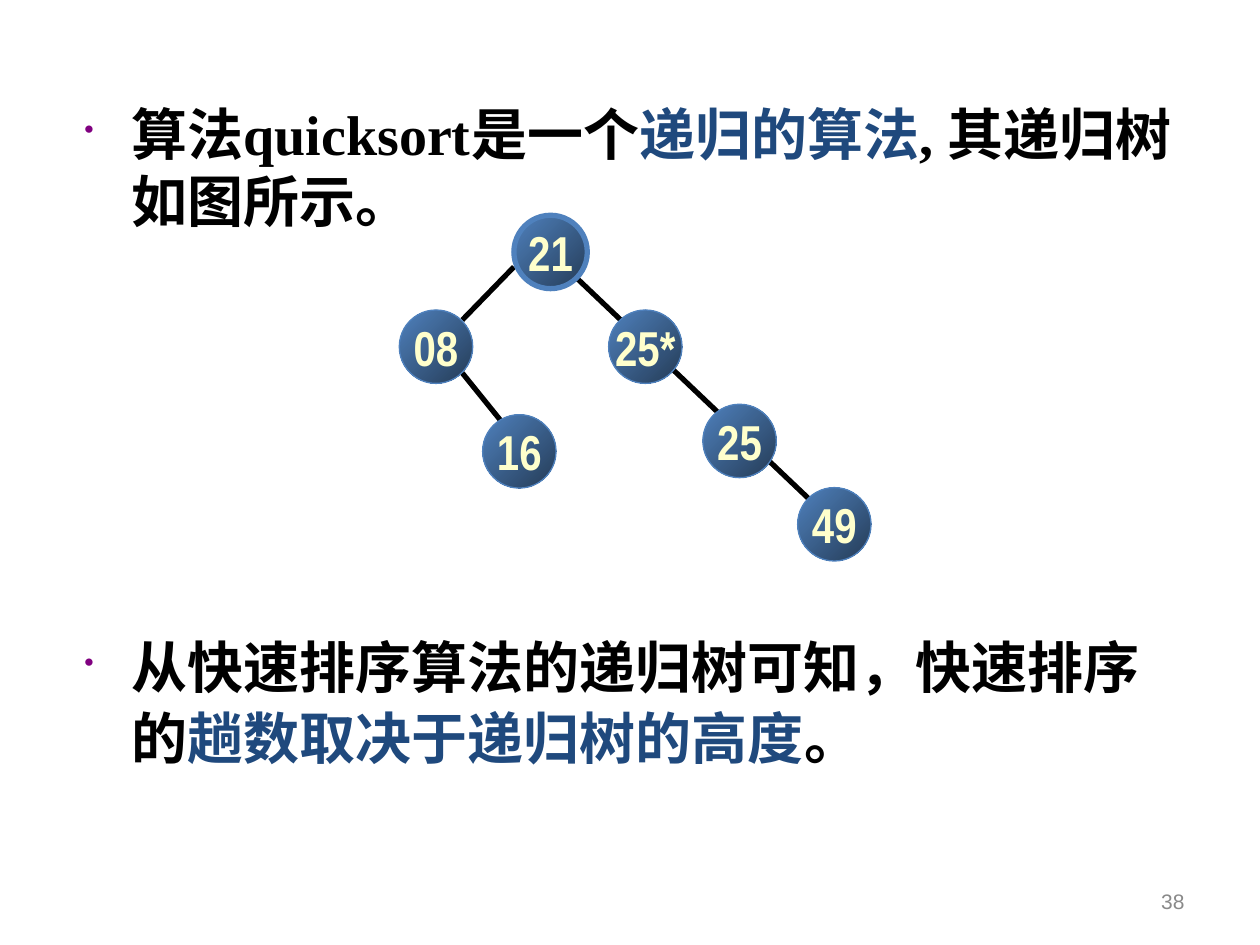
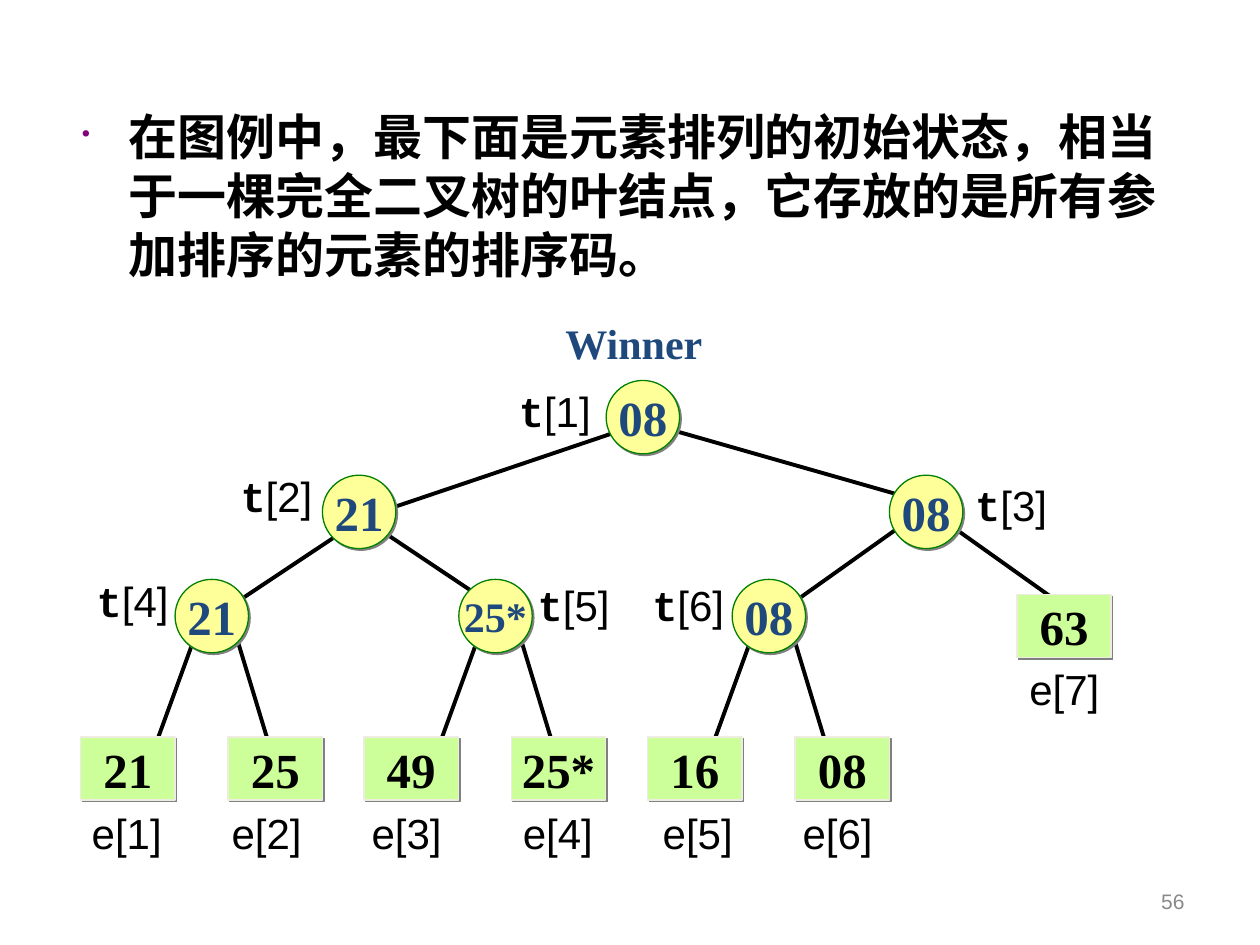
"""Build two slides on recursion trees and winner trees for sorting."""
from lxml.etree import SubElement
from pptx import Presentation
from pptx.dml.color import RGBColor
from pptx.enum.shapes import MSO_CONNECTOR as Connector, MSO_SHAPE as Shape
from pptx.enum.text import MSO_ANCHOR as Anchor, PP_ALIGN as Align
from pptx.oxml.ns import qn
from pptx.util import Cm, Pt

rgb = RGBColor.from_string
BLACK, NAVY, BLUE, GRAY = "000000", "1F497D", "4F81BD", "898989"
PURPLE, SHADOW = "800080", "808080"
CIRCLE = 1.48
SERIF, SANS = "Times New Roman", "Arial"


def add_text(slide, box, text, size, font, color, bold=False, align=Align.LEFT):
    shape = slide.shapes.add_textbox(*map(Cm, box))
    shape.text_frame.word_wrap = True
    paragraph = shape.text_frame.paragraphs[0]
    paragraph.text = text
    paragraph.alignment = align
    paragraph.font.size, paragraph.font.name = Pt(size), font
    paragraph.font.bold, paragraph.font.color.rgb = bold, rgb(color)
    return shape


def add_node(slide, kind, box, text, size, font, color, line, fill=None):
    shape = slide.shapes.add_shape(kind, *map(Cm, box))
    shape.shadow.inherit = False
    shape.line.color.rgb, shape.line.width = rgb(line), Pt(0.75)
    if fill:
        shape.fill.solid()
        shape.fill.fore_color.rgb = rgb(fill)
        effects = shape._element.spPr.find(qn("a:effectLst"))
        shadow = SubElement(effects, qn("a:outerShdw"), dist=str(Pt(1.4)), dir="2700000",
                            algn="ctr", rotWithShape="0")
        SubElement(shadow, qn("a:srgbClr"), val=SHADOW)
    else:
        shape.fill.gradient()
        shape.fill.gradient_angle = 315
        for stop, position, shade in zip(shape.fill.gradient_stops, (0, 1), (BLUE, "253C57")):
            stop.position, stop.color.rgb = position, rgb(shade)
    frame = shape.text_frame
    frame.word_wrap, frame.vertical_anchor = False, Anchor.MIDDLE
    paragraph = frame.paragraphs[0]
    paragraph.text, paragraph.alignment = text, Align.CENTER
    paragraph.font.size, paragraph.font.name = Pt(size), font
    paragraph.font.bold, paragraph.font.color.rgb = True, rgb(color)
    return shape


presentation = Presentation()
presentation.slide_width, presentation.slide_height = Cm(25.4), Cm(19.05)

recursion_bullets = [
    (0, 1, [("算法quicksort是一个", BLACK), ("递归的算法", NAVY), (", 其递归树如图所示。", BLACK)]),
    (226, 1.05, [("从快速排序算法的递归树可知，快速排序的", BLACK),
                 ("趟数取决于递归树的高度", NAVY), ("。", BLACK)]),
]
winner_bullets = [
    (0, 1, [("在图例中，最下面是元素排列的初始状态，相当于一棵完全二叉树的叶结点，"
             "它存放的是所有参加排序的元素的排序码。", BLACK)]),
]
recursion_edges = [
    (9.32, 7.52, 10.16, 8.56), (11.63, 5.61, 16.31, 10.06), (10.36, 5.38, 9.32, 6.45),
]
winner_edges = [
    (13.69, 8.71, 18.14, 9.98), (7.98, 10.21, 12.42, 8.71), (18.14, 10.62, 16.03, 12.12),
    (7.57, 10.62, 9.47, 11.89), (19.2, 10.62, 21.31, 12.12), (6.71, 10.85, 4.8, 12.12),
]
lowest_parents = [(3.53, "21", 28), (9.25, "25*", 24), (14.76, "08", 28)]
for left, _, _ in lowest_parents:
    winner_edges += [(left + 0.43, 12.75, left - 0.41, 15.06),
                     (left + 1.27, 12.95, left + 1.91, 15.06)]

pages = [
    ("38", (1.45, 1.88, 22.86, 16.94), SERIF, 32, recursion_bullets, recursion_edges, 3),
    ("56", (1.4, 2.03, 22.43, 13.97), "Calibri", 28, winner_bullets, winner_edges, 2.25),
]
for number, box, font, size, bullets, edges, edge_width in pages:
    slide = presentation.slides.add_slide(presentation.slide_layouts[6])
    frame = slide.shapes.add_textbox(*map(Cm, box)).text_frame
    frame.word_wrap = True
    for index, (space, spacing, runs) in enumerate(bullets):
        paragraph = frame.add_paragraph() if index else frame.paragraphs[0]
        properties = paragraph._p.get_or_add_pPr()
        properties.set("marL", str(Cm(0.95)))
        properties.set("indent", str(-Cm(0.95)))
        bullet_color = SubElement(properties, qn("a:buClr"))
        SubElement(bullet_color, qn("a:srgbClr"), val=PURPLE)
        SubElement(properties, qn("a:buSzPct"), val="50000")
        SubElement(properties, qn("a:buChar"), char="•")
        paragraph.space_before, paragraph.line_spacing = Pt(space), float(spacing)
        paragraph.font.size, paragraph.font.name, paragraph.font.bold = Pt(size), font, True
        for text, color in runs:
            run = paragraph.add_run()
            run.text, run.font.color.rgb = text, rgb(color)

    page_number = add_text(slide, (18.21, 17.65, 5.92, 1.02), number, 12, SANS, GRAY,
                           align=Align.RIGHT)
    page_number.text_frame.vertical_anchor = Anchor.MIDDLE

    for edge in edges:
        connector = slide.shapes.add_connector(Connector.STRAIGHT, *map(Cm, edge))
        connector.line.color.rgb, connector.line.width = rgb(BLACK), Pt(edge_width)
        SubElement(connector._element.spPr, qn("a:effectLst"))

recursion_slide, winner_slide = presentation.slides

recursion_nodes = [
    ("49", 16.08, 9.83), ("25", 14.17, 8.15), ("25*", 12.27, 6.25),
    ("08", 8.05, 6.25), ("16", 9.73, 8.36), ("21", 10.36, 4.34),
]
for text, left, top in recursion_nodes:
    node = add_node(recursion_slide, Shape.OVAL, (left, top, CIRCLE, CIRCLE), text, 28,
                    "Arial Narrow", "FFFFCC", BLUE)
root = node
root.line.width = Pt(3)

winner_nodes = [("08", 12.22, 7.67, 28), ("21", 6.5, 9.58, 28), ("08", 17.93, 9.58, 28)]
winner_nodes += [(text, left, 11.68, size) for left, text, size in lowest_parents]
for text, left, top, size in winner_nodes:
    add_node(winner_slide, Shape.OVAL, (left, top, CIRCLE, CIRCLE), text, size,
             SERIF, NAVY, "008000", "FFFF99")
add_text(winner_slide, (11.15, 6.27, 3.53, 1.27), "Winner", 24, SERIF, NAVY, bold=True)

leaves = [
    ("21", 1.63, 14.86), ("25", 4.6, 14.86), ("49", 7.34, 14.86), ("25*", 10.31, 14.86),
    ("16", 13.06, 14.86), ("08", 16.03, 14.86), ("63", 20.5, 11.99),
]
for text, left, top in leaves:
    add_node(winner_slide, Shape.RECTANGLE, (left, top, 1.9, 1.27), text, 28,
             SERIF, BLACK, "EEECE1", "CCFF99")

leaf_labels = [(left, 16.15) for left in (1.6, 4.42, 7.24, 10.29, 13.11, 15.93)]
leaf_labels.append((20.5, 13.26))
for index, (left, top) in enumerate(leaf_labels, 1):
    add_text(winner_slide, (left, top, 2.11, 1.27), f"e[{index}]", 24, SANS, BLACK)

node_labels = [
    (10.21, 7.65), (4.6, 9.37), (19.41, 9.55), (1.7, 11.48), (10.59, 11.56), (12.9, 11.56),
]
for index, (left, top) in enumerate(node_labels, 1):
    label = add_text(winner_slide, (left, top, 2.11, 1.27), "t", 24, SANS, BLACK)
    paragraph = label.text_frame.paragraphs[0]
    letter = paragraph.runs[0]
    letter.font.name, letter.font.bold = "Courier New", True
    paragraph.add_run().text = f"[{index}]"

presentation.save("out.pptx")
